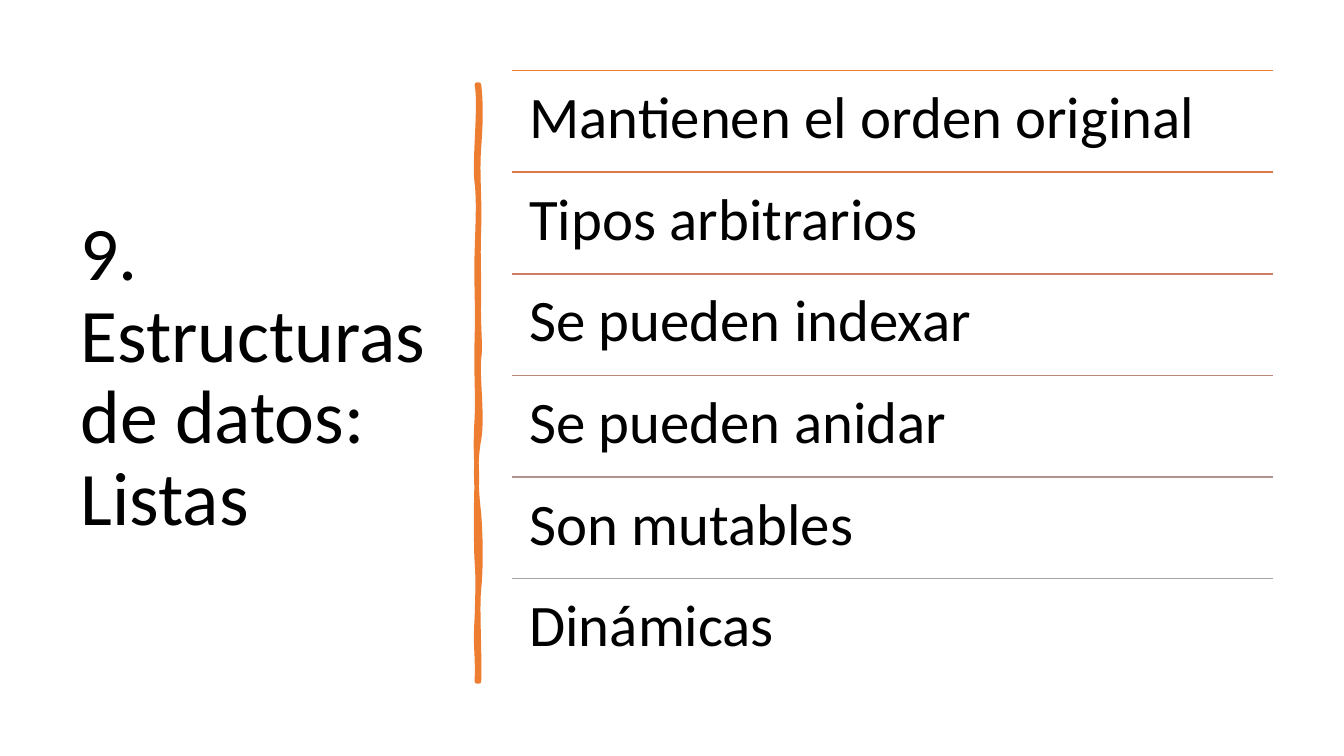
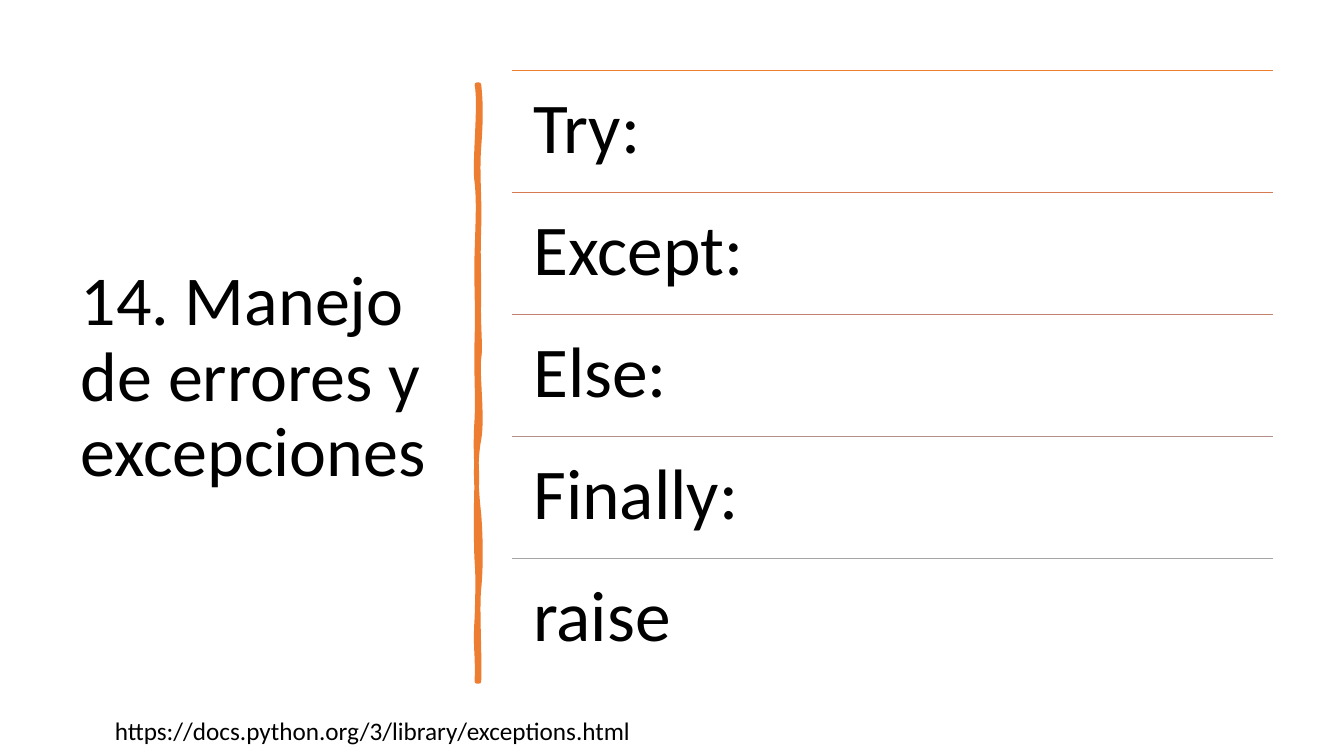
"""Builds two topic slides with a hand-drawn divider and ruled rows."""
from dataclasses import dataclass
from lxml import etree
from pptx import Presentation
from pptx.dml.color import RGBColor as RGB
from pptx.enum.shapes import MSO_CONNECTOR as Line
from pptx.enum.text import MSO_ANCHOR as Anchor, MSO_AUTO_SIZE as Fit, PP_ALIGN as Align
from pptx.oxml.ns import qn
from pptx.util import Inches, Pt


@dataclass(frozen=True)
class Theme:
    font: str = "Calibri"
    ink: str = "000000"
    accent: str = "ED7D31"
    stroke: float = 3.25
    rule: float = 1
    note: int = 18


theme = Theme()


def write(frame, text, size, inset=None, spacing=None):
    frame.auto_size = Fit.NONE
    frame.word_wrap = True
    if inset:
        frame.margin_left = frame.margin_right = Inches(inset)
        frame.margin_top = frame.margin_bottom = Inches(inset)
    para = frame.paragraphs[0]
    para.alignment = Align.LEFT
    if spacing:
        para.line_spacing = spacing
    run = para.add_run()
    run.text = text
    run.font.name = theme.font
    run.font.size = Pt(size)
    run.font.color.rgb = RGB.from_string(theme.ink)


def bend(shape, curves):
    for edge, curve in zip(list(shape._element.iter(qn("a:lnTo"))), curves):
        arc = etree.Element(qn("a:cubicBezTo"))
        for x, y in zip(curve[::2], curve[1::2]):
            etree.SubElement(arc, qn("a:pt"), x=str(Inches(x) - shape.left),
                             y=str(Inches(y) - shape.top))
        edge.getparent().replace(edge, arc)


start = (4.75, 0.84)
curves = [
    (4.77, 1.02, 4.77, 1.19, 4.75, 1.46),
    (4.73, 1.73, 4.76, 1.95, 4.75, 2.26),
    (4.74, 2.57, 4.75, 2.62, 4.75, 2.94),
    (4.74, 3.25, 4.77, 3.42, 4.75, 3.56),
    (4.73, 3.7, 4.79, 4.14, 4.75, 4.36),
    (4.71, 4.57, 4.72, 4.84, 4.75, 5.1),
    (4.77, 5.36, 4.77, 5.64, 4.75, 5.84),
    (4.73, 6.03, 4.76, 6.5, 4.75, 6.76),
    (4.74, 6.76, 4.73, 6.76, 4.73, 6.76),
    (4.74, 6.46, 4.71, 6.44, 4.73, 6.13),
    (4.74, 5.83, 4.74, 5.7, 4.73, 5.57),
    (4.72, 5.44, 4.72, 4.95, 4.73, 4.77),
    (4.73, 4.59, 4.71, 4.45, 4.73, 4.15),
    (4.74, 3.86, 4.72, 3.73, 4.73, 3.35),
    (4.74, 2.98, 4.72, 2.81, 4.73, 2.5),
    (4.74, 2.18, 4.75, 2, 4.73, 1.81),
    (4.7, 1.63, 4.77, 1.04, 4.73, 0.84),
]
knots = [(Inches(curve[4]), Inches(curve[5])) for curve in curves]

topics = [
    dict(title="9. Estructuras de datos: Listas", head=54, size=42, inset=0.17, note=None,
         rows=[("Mantienen el orden original", theme.accent),
               ("Tipos arbitrarios", "DC7A4B"),
               ("Se pueden indexar", "CC7D64"),
               ("Se pueden anidar", "BD867B"),
               ("Son mutables", "B09391"),
               ("Dinámicas", "A5A5A5")]),
    dict(title="14. Manejo de errores y excepciones", head=50, size=51, inset=0.21,
         note="https://docs.python.org/3/library/exceptions.html",
         rows=[("Try:", theme.accent),
               ("Except:", "D87A51"),
               ("Else:", "C48170"),
               ("Finally:", "B4908B"),
               ("raise", "A5A5A5")]),
]

deck = Presentation()
deck.slide_width, deck.slide_height = Inches(13.33), Inches(7.5)
left, top, width, height = 5.08, 0.7, 7.55, 6.05

for topic in topics:
    slide = deck.slides.add_slide(deck.slide_layouts[5])
    shapes = slide.shapes

    title = shapes.title
    title.left, title.top = Inches(0.7), Inches(top)
    title.width, title.height = Inches(3.74), Inches(6.11)
    title.text_frame.vertical_anchor = Anchor.MIDDLE
    write(title.text_frame, topic["title"], topic["head"], spacing=0.9)

    pen = shapes.build_freeform(Inches(start[0]), Inches(start[1]))
    pen.add_line_segments(knots, close=True)
    bar = pen.convert_to_shape()
    bend(bar, curves)
    bar.shadow.inherit = False
    bar.fill.solid()
    bar.fill.fore_color.rgb = RGB.from_string(theme.accent)
    bar.line.color.rgb = RGB.from_string(theme.accent)
    bar.line.width = Pt(theme.stroke)

    pitch = height / len(topic["rows"])
    for index, (label, color) in enumerate(topic["rows"]):
        y = Inches(top + index * pitch)
        rule = shapes.add_connector(Line.STRAIGHT, Inches(left), y, Inches(left + width), y)
        rule.line.color.rgb = RGB.from_string(color)
        rule.line.width = Pt(theme.rule)
        etree.SubElement(rule._element.spPr, qn("a:effectLst"))
        box = shapes.add_textbox(Inches(left), y, Inches(width), Inches(pitch))
        write(box.text_frame, label, topic["size"], topic["inset"], 0.9)

    if topic["note"]:
        note = shapes.add_textbox(Inches(1.04), Inches(7.05), Inches(5.38), Inches(0.4))
        write(note.text_frame, topic["note"], theme.note)
        note.text_frame.word_wrap = False
        note.text_frame.auto_size = Fit.SHAPE_TO_FIT_TEXT

deck.save("out.pptx")
